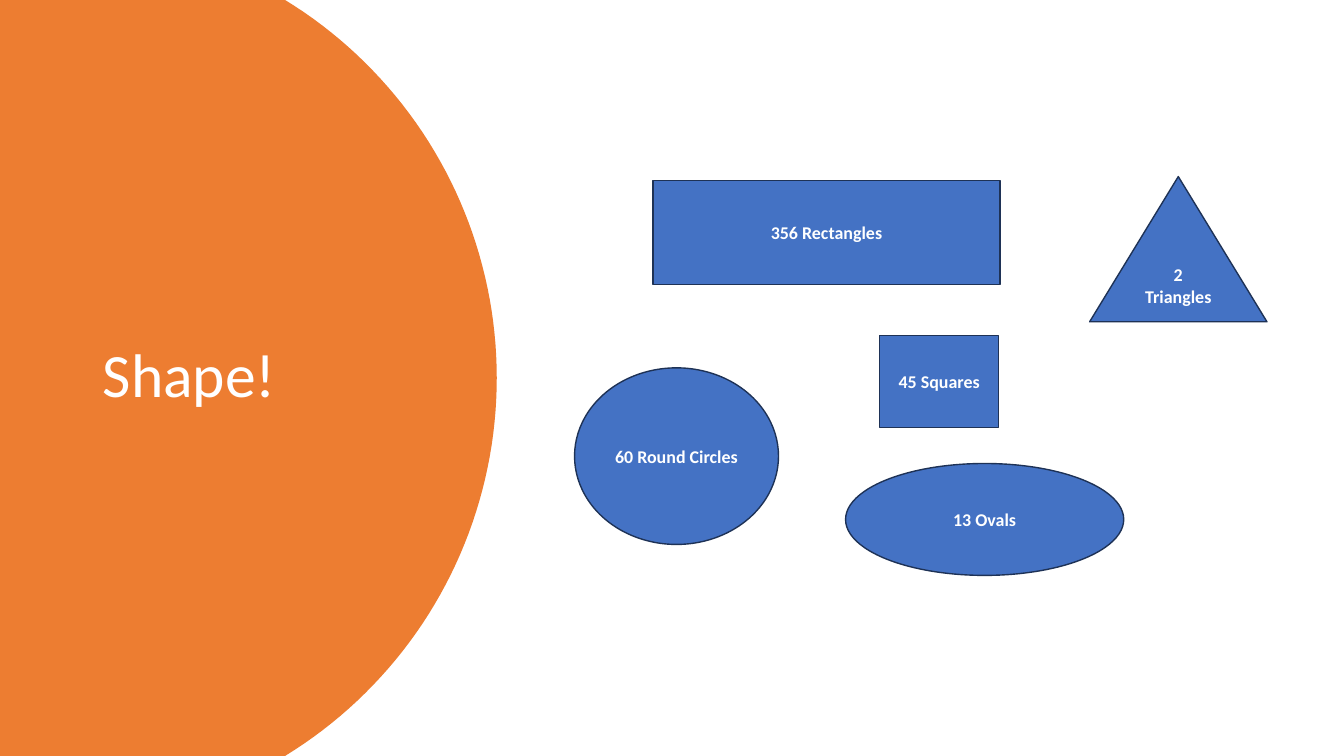
import math
from dataclasses import dataclass

from pptx import Presentation
from pptx import util as u
from pptx.dml.color import RGBColor
from pptx.enum import shapes, text


@dataclass(frozen=True)
class Theme:
    font: str = "Calibri"
    panel: str = "ED7D31"
    fill: str = "4472C4"
    edge: str = "1E3256"
    ink: str = "FFFFFF"
    title: float = 44
    label: float = 12.8
    line: float = 1


THEME = Theme()
WIDE, HIGH = 33.87, 19.05
KIND = shapes.MSO_SHAPE

# kind, label, left, top, width, height (cm, within the figure area)
ITEMS = [
    (KIND.RECTANGLE, "356 Rectangles", 1.98, 0.1, 8.74, 2.62),
    (KIND.FLOWCHART_CONNECTOR, "60 Round Circles", 0, 4.82, 5.14, 4.45),
    (KIND.ACTION_BUTTON_CUSTOM, "45 Squares", 7.69, 4.01, 3, 2.31),
    (KIND.OVAL, "13 Ovals", 6.83, 7.23, 7.01, 2.82),
    (KIND.ISOSCELES_TRIANGLE, "2 Triangles", 12.98, 0, 4.47, 3.66),
]


def paint(shape, color):
    shape.shadow.inherit = False
    shape.fill.solid()
    shape.fill.fore_color.rgb = RGBColor.from_string(color)


def write(shape, words, size, bold=False):
    """Put one run in the middle of the shape and return its paragraph."""
    frame = shape.text_frame
    frame.word_wrap = True
    frame.vertical_anchor = text.MSO_ANCHOR.MIDDLE
    para = frame.paragraphs[0]
    run = para.add_run()
    run.text = words
    run.font.name = THEME.font
    run.font.size = u.Pt(size)
    run.font.bold = bold
    run.font.color.rgb = RGBColor.from_string(THEME.ink)
    return para


def panel(slide, left, top, width, height, radius=11.17, steps=80):
    """Draw the panel whose right edge is an arc, with the title on it."""
    mid = top + height / 2
    hub = left + width - radius
    half = math.asin(height / 2 / radius)
    turns = [half * (2 * i / steps - 1) for i in range(steps + 1)]
    arc = [(u.Cm(hub + radius * math.cos(a)), u.Cm(mid + radius * math.sin(a)))
           for a in turns]
    form = slide.shapes.build_freeform(u.Cm(left), u.Cm(top))
    form.add_line_segments(arc + [(u.Cm(left), u.Cm(top + height))], close=True)
    shape = form.convert_to_shape()
    paint(shape, THEME.panel)
    shape.line.fill.background()

    box = slide.shapes.add_textbox(u.Cm(left + 2.34), u.Cm(top + 1.78),
                                   u.Cm(8.2), u.Cm(15.47))
    write(box, "Shape!", THEME.title).line_spacing = 0.9


def figures(slide, left, top):
    for kind, label, x, y, width, height in ITEMS:
        shape = slide.shapes.add_shape(kind, u.Cm(left + x), u.Cm(top + y),
                                       u.Cm(width), u.Cm(height))
        paint(shape, THEME.fill)
        shape.line.color.rgb = RGBColor.from_string(THEME.edge)
        shape.line.width = u.Pt(THEME.line)
        para = write(shape, label, THEME.label, bold=True)
        para.alignment = text.PP_ALIGN.CENTER
        para.space_after = u.Pt(6)


def main():
    deck = Presentation()
    deck.slide_width, deck.slide_height = u.Cm(WIDE), u.Cm(HIGH)
    slide = deck.slides.add_slide(deck.slide_layouts[6])
    panel(slide, 0, 0, 12.52, HIGH)
    figures(slide, 14.48, 4.45)
    deck.save("out.pptx")


if __name__ == "__main__":
    main()
